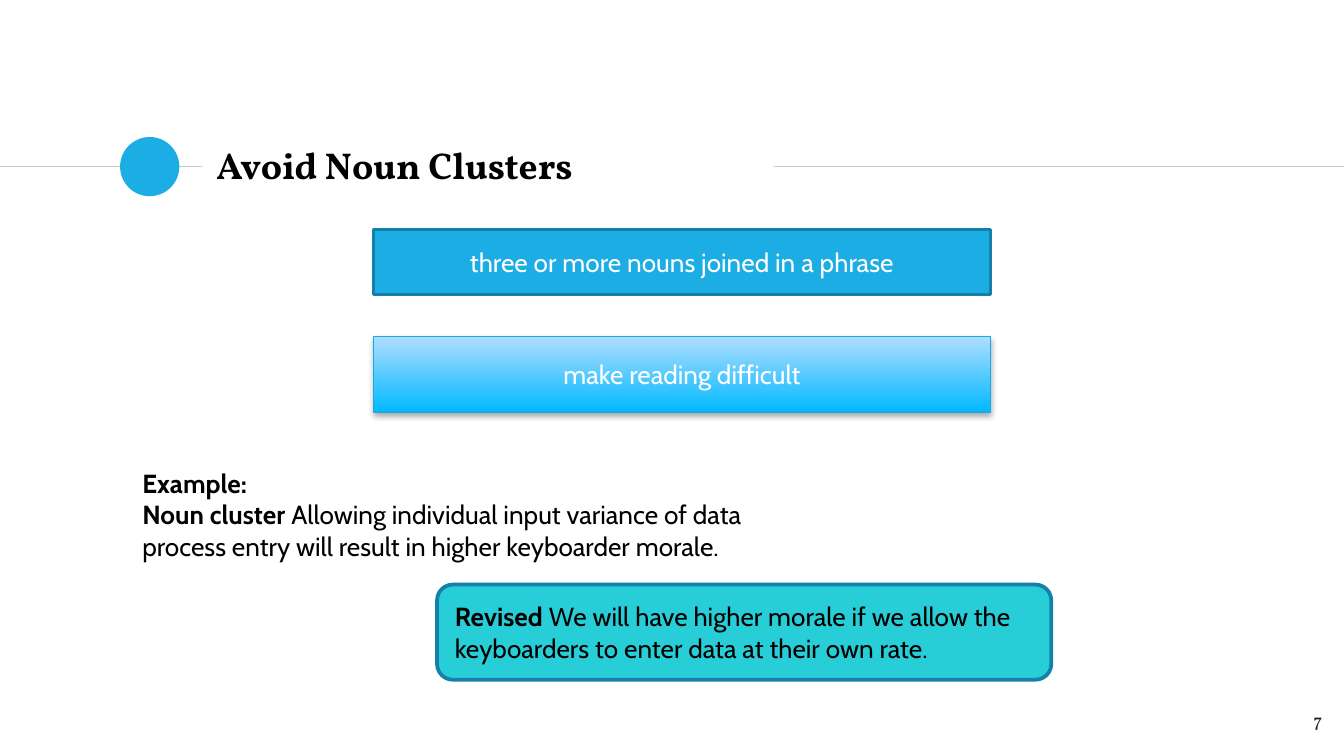
"""Build the slide "Avoid Noun Clusters"."""
from lxml import etree
from pptx import Presentation
from pptx import util as u
from pptx.dml.color import RGBColor
from pptx.enum import shapes, text
from pptx.oxml import ns

COLORS = {
    "black": "000000", "white": "FFFFFF", "number": "1D1D1B", "rule": "CCCCCC",
    "blue": "1CADE4", "border": "1580A9", "thin_border": "16ABE4", "teal": "27CED7",
    "gradient_bottom": "01B9FF", "gradient_top": "B0DDFF",
}
ALIGN = text.PP_ALIGN
KIND = shapes.MSO_SHAPE
MIDDLE = text.MSO_ANCHOR.MIDDLE

TITLE = [[("Avoid Noun Clusters", True)]]
NUMBER = [[("7", False)]]
DEFINITION = [[("three or more nouns joined in a phrase", False)]]
EFFECT = [[("make reading difficult", False)]]
EXAMPLE = [
    [("Example:", True)],
    [("Noun cluster ", True),
     ("Allowing individual input variance of data process entry will result in "
      "higher keyboarder morale.", False)],
]
REVISED = [[
    ("Revised ", True),
    ("We will have higher morale if we allow the keyboarders to enter data at "
     "their own rate.", False),
]]

RULE_Y = 3.15
RULES = [(0, 3.81), (14.63, 25.4)]
DOT = 1.12
BANNER_LEFT, BANNER_WIDTH = 7.06, 11.66


def color(name):
    return RGBColor.from_string(COLORS[name])


def write(shape, paragraphs, size=14, font="Cabin", ink="black",
          align=ALIGN.LEFT, anchor=MIDDLE, inset=None):
    frame = shape.text_frame
    frame.word_wrap = True
    frame.vertical_anchor = anchor
    if inset is not None:
        frame.margin_left = frame.margin_right = u.Cm(inset)
        frame.margin_top = frame.margin_bottom = u.Cm(inset)
    for index, runs in enumerate(paragraphs):
        paragraph = frame.paragraphs[0] if index == 0 else frame.add_paragraph()
        paragraph.alignment = align
        for words, bold in runs:
            run = paragraph.add_run()
            run.text = words
            run.font.size = u.Pt(size)
            run.font.name = font
            run.font.bold = bold
            run.font.color.rgb = color(ink)


def add_rule(slide, start, end):
    rule = slide.shapes.add_connector(
        shapes.MSO_CONNECTOR.STRAIGHT, u.Cm(start), u.Cm(RULE_Y), u.Cm(end), u.Cm(RULE_Y))
    rule.line.color.rgb = color("rule")
    rule.line.width = u.Pt(0.75)
    etree.SubElement(rule._element.spPr, ns.qn("a:effectLst"))


def add_box(slide, kind, place, fill, border=None, width=2):
    shape = slide.shapes.add_shape(kind, *map(u.Cm, place))
    shape.shadow.inherit = False
    shape.fill.solid()
    shape.fill.fore_color.rgb = color(fill)
    if border:
        shape.line.color.rgb = color(border)
        shape.line.width = u.Pt(width)
    else:
        shape.line.fill.background()
    return shape


def add_text(slide, place, paragraphs, **style):
    write(slide.shapes.add_textbox(*map(u.Cm, place)), paragraphs, **style)


def shade(shape):
    shape.fill.gradient()
    shape.fill.gradient_angle = 90
    for stop, name in zip(shape.fill.gradient_stops, ("gradient_bottom", "gradient_top")):
        stop.color.rgb = color(name)
    effects = shape._element.spPr.find(ns.qn("a:effectLst"))
    shadow = etree.SubElement(
        effects, ns.qn("a:outerShdw"), blurRad=str(u.Pt(3.1)), dist=str(u.Pt(1.8)),
        dir="5400000", rotWithShape="0")
    tint = etree.SubElement(shadow, ns.qn("a:srgbClr"), val=COLORS["black"])
    etree.SubElement(tint, ns.qn("a:alpha"), val="35000")


def main():
    presentation = Presentation()
    presentation.slide_width, presentation.slide_height = u.Cm(25.4), u.Cm(14.29)
    slide = presentation.slides.add_slide(presentation.slide_layouts[6])

    for start, end in RULES:
        add_rule(slide, start, end)
    add_box(slide, KIND.OVAL, (2.27, RULE_Y - DOT / 2, DOT, DOT), "blue")
    add_text(slide, (3.84, 2.5, 10.78, 1.22), TITLE, size=20, font="Vollkorn", inset=0.25)
    add_text(slide, (23.72, 13.19, 1.52, 1.09), NUMBER, size=10, font="Vollkorn",
             ink="number", align=ALIGN.RIGHT, anchor=text.MSO_ANCHOR.TOP, inset=0.25)

    definition = add_box(slide, KIND.RECTANGLE, (BANNER_LEFT, 4.34, BANNER_WIDTH, 1.23),
                         "blue", "border")
    effect = add_box(slide, KIND.RECTANGLE, (BANNER_LEFT, 6.36, BANNER_WIDTH, 1.43),
                     "blue", "thin_border", 0.75)
    shade(effect)
    for banner, words in ((definition, DEFINITION), (effect, EFFECT)):
        write(banner, words, ink="white", align=ALIGN.CENTER)

    revised = add_box(slide, KIND.ROUNDED_RECTANGLE, (8.26, 11.05, 11.61, 1.8),
                      "teal", "border")
    write(revised, REVISED)
    add_text(slide, (2.44, 8.71, 12.7, 2.05), EXAMPLE, anchor=text.MSO_ANCHOR.TOP)

    presentation.save("out.pptx")


if __name__ == "__main__":
    main()
